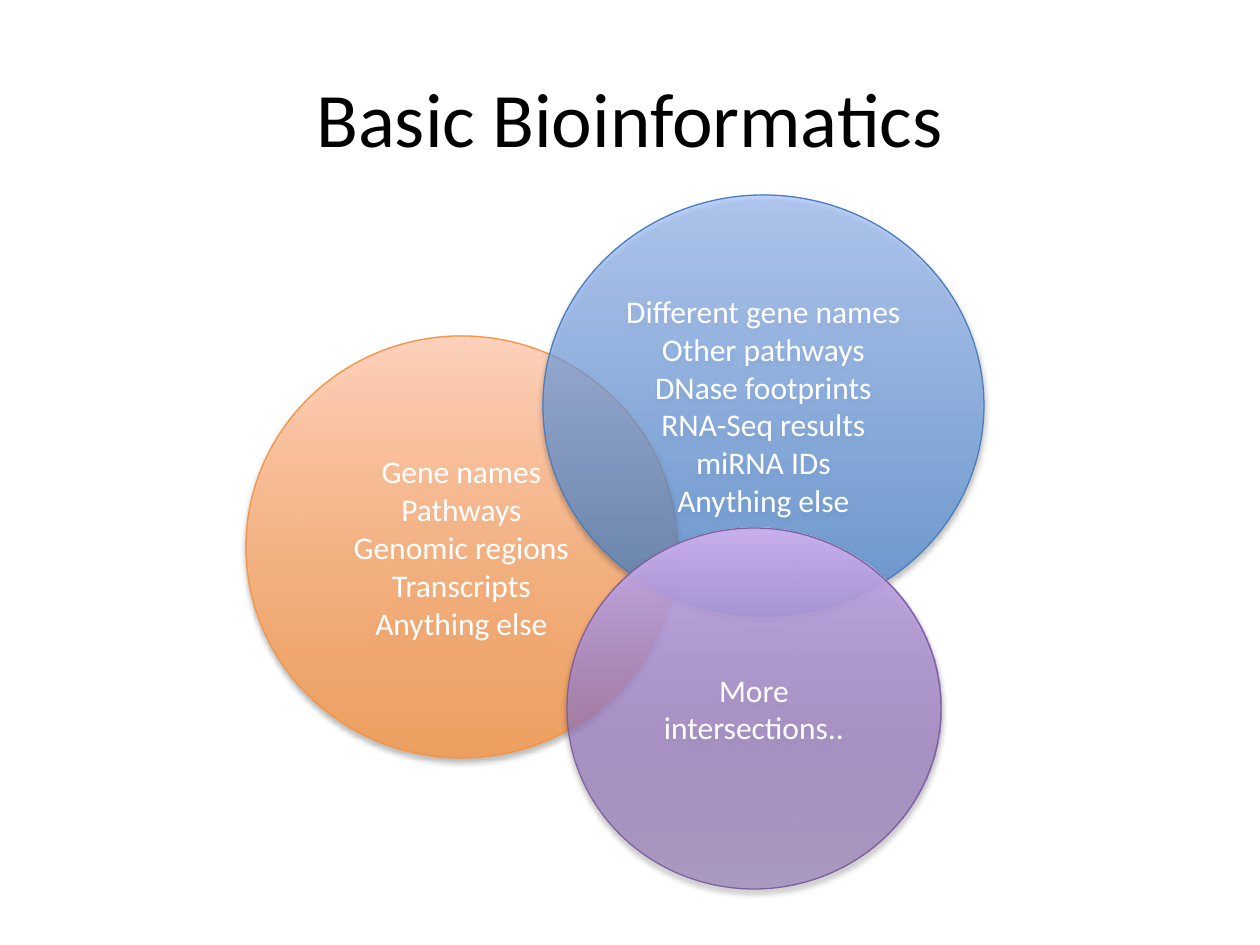
from dataclasses import dataclass

from lxml import etree
from pptx import Presentation
from pptx import util as u
from pptx.dml.color import RGBColor
from pptx.enum import shapes, text
from pptx.oxml import ns

PX = u.Inches(1) / 126
FONT = "Calibri"
COLORS = {
    "title": "000000",
    "label": "FFFFFF",
    "shadow": "000000",
    "orange_dark": "FF953E",
    "orange_light": "FFD2BD",
    "orange_line": "F69240",
    "blue_dark": "3F80CE",
    "blue_light": "A4C4FF",
    "blue_line": "4B7EBC",
    "purple_dark": "7F5BAB",
    "purple_light": "C8B0ED",
    "purple_line": "7D60A0",
}


@dataclass(frozen=True)
class VennCircle:
    hue: str
    left: int
    top: int
    width: int
    height: int
    dark_opacity: int
    light_opacity: int
    labels: tuple[str, ...]


CIRCLES = (
    VennCircle("orange", 246, 336, 431, 422, 72, 100,
               ("Gene names", "Pathways", "Genomic regions", "Transcripts",
                "Anything else")),
    VennCircle("blue", 543, 195, 441, 421, 67, 67,
               ("Different gene names", "Other pathways", "DNase footprints",
                "RNA-Seq results", "miRNA IDs", "Anything else")),
    VennCircle("purple", 567, 528, 374, 361, 47, 100,
               ("More intersections..",)),
)


def px(value: int) -> u.Emu:
    return u.Emu(round(value * PX))


def color(name: str) -> RGBColor:
    return RGBColor.from_string(COLORS[name])


def place(shape, left: int, top: int, width: int, height: int) -> None:
    shape.left, shape.top = px(left), px(top)
    shape.width, shape.height = px(width), px(height)


def format_paragraph(paragraph, size: int, color_name: str) -> None:
    paragraph.alignment = text.PP_ALIGN.CENTER
    paragraph.font.name = FONT
    paragraph.font.size = u.Pt(size)
    paragraph.font.color.rgb = color(color_name)


def add_opacity(color_element, percent: int) -> None:
    etree.SubElement(color_element, ns.qn("a:alpha"), val=str(percent * 1000))


def fill_gradient(shape, circle: VennCircle) -> None:
    shape.fill.gradient()
    shape.fill.gradient_angle = 90
    opacities = {"dark": circle.dark_opacity, "light": circle.light_opacity}
    stops = shape.fill.gradient_stops
    for position, (stop, (shade, opacity)) in enumerate(zip(stops, opacities.items())):
        stop.position = position
        stop.color.rgb = color(f"{circle.hue}_{shade}")
    color_elements = shape._element.spPr.iterfind(f".//{ns.qn('a:gs')}/{ns.qn('a:srgbClr')}")
    for color_element, opacity in zip(color_elements, opacities.values()):
        if opacity < 100:
            add_opacity(color_element, opacity)


def add_shadow(shape) -> None:
    shape.shadow.inherit = False
    effects = shape._element.spPr.find(ns.qn("a:effectLst"))
    shadow = etree.SubElement(effects, ns.qn("a:outerShdw"),
                              blurRad=str(u.Pt(3.1)), dist=str(u.Pt(1.8)),
                              dir="5400000", rotWithShape="0")
    add_opacity(etree.SubElement(shadow, ns.qn("a:srgbClr"), val=COLORS["shadow"]), 35)


def add_circle(group, circle: VennCircle) -> None:
    shape = group.shapes.add_shape(
        shapes.MSO_SHAPE.OVAL, px(circle.left), px(circle.top),
        px(circle.width), px(circle.height))
    fill_gradient(shape, circle)
    shape.line.color.rgb = color(f"{circle.hue}_line")
    shape.line.width = u.Pt(0.75)
    add_shadow(shape)
    frame = shape.text_frame
    frame.word_wrap = True
    frame.vertical_anchor = text.MSO_ANCHOR.MIDDLE
    frame.text = "\n".join(circle.labels)
    for paragraph in frame.paragraphs:
        format_paragraph(paragraph, 18, "label")


def main() -> None:
    presentation = Presentation()
    presentation.slide_width, presentation.slide_height = u.Inches(10), u.Inches(7.5)
    slide = presentation.slides.add_slide(presentation.slide_layouts[5])
    title = slide.shapes.title
    place(title, 63, 38, 1134, 158)
    title.text_frame.text = "Basic Bioinformatics"
    title.text_frame.vertical_anchor = text.MSO_ANCHOR.MIDDLE
    format_paragraph(title.text_frame.paragraphs[0], 44, "title")
    venn = slide.shapes.add_group_shape()
    for circle in CIRCLES:
        add_circle(venn, circle)
    presentation.save("out.pptx")


if __name__ == "__main__":
    main()
